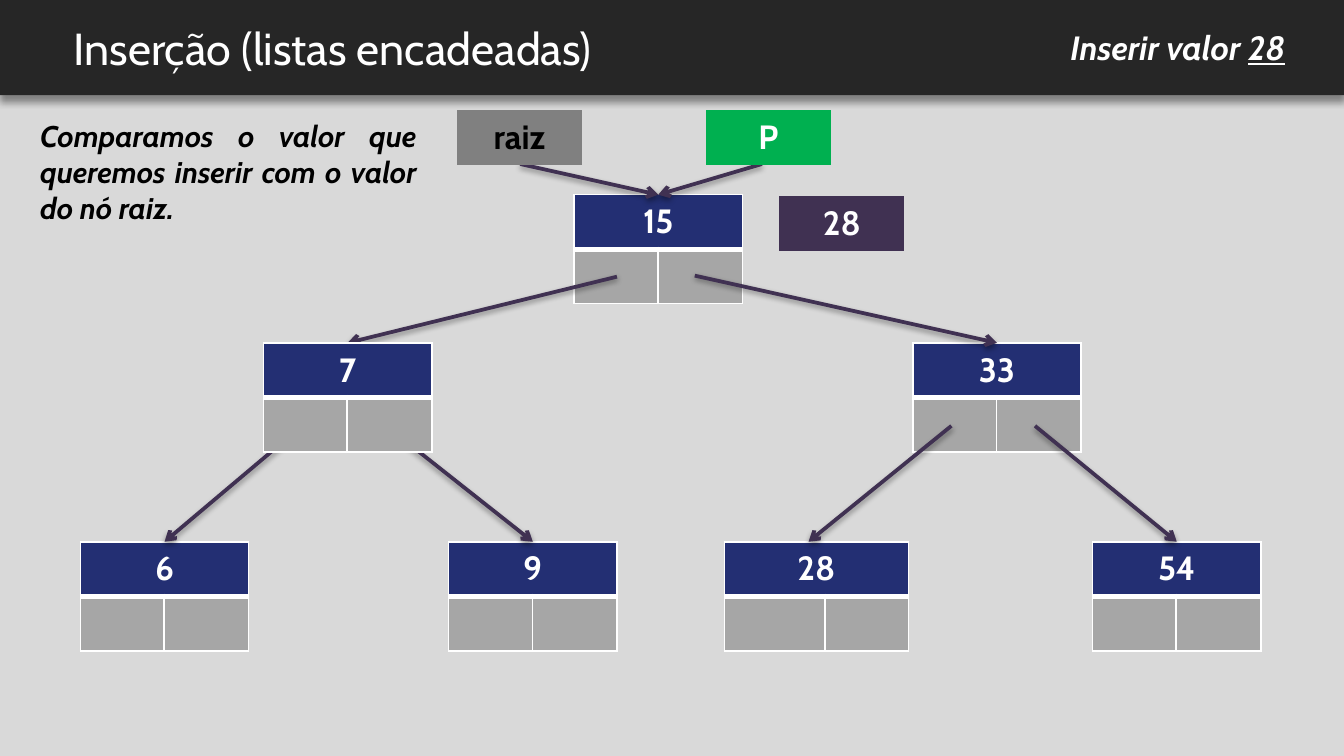
from lxml import etree
from pptx import Presentation
from pptx.dml.color import RGBColor
from pptx.enum.shapes import MSO_CONNECTOR, MSO_SHAPE
from pptx.enum.text import MSO_ANCHOR, PP_ALIGN
from pptx.oxml.ns import qn
from pptx.util import Cm, Pt

LINE = MSO_CONNECTOR.STRAIGHT
RECT = MSO_SHAPE.RECTANGLE
TOP, MID = MSO_ANCHOR.TOP, MSO_ANCHOR.MIDDLE
LEFT, RIGHT = PP_ALIGN.LEFT, PP_ALIGN.RIGHT
CENTER, JUST = PP_ALIGN.CENTER, PP_ALIGN.JUSTIFY

FONT = "Cabin"
WHITE, BLACK, NAVY, GRAY, PLUM = "FFFFFF", "000000", "232F73", "A6A6A6", "403152"
NO_STYLE = "{2D5ABB26-0587-4C30-8999-92F81FD0307C}"
ROW = 1.02                # height of a table row, cm
HALVES = (1.58, 1.6)      # pointer cells of a node, cm
MIDDLE = 1.59             # from a node's left side to its arrow tip, cm

# Tree nodes: name -> left, top (cm)
NODES = {
    "15": (10.85, 3.68),
    "7": (4.98, 6.48), "33": (17.25, 6.48),
    "6": (1.52, 10.24), "9": (8.48, 10.24),
    "28": (13.69, 10.24), "54": (20.65, 10.24),
}
# Arrows: start x, start y (cm), node they point to
LINKS = [
    (9.83, 3.1, "15"), (14.4, 3.1, "15"),
    (11.66, 5.23, "7"), (13.13, 5.21, "33"),
    (5.79, 7.98, "6"), (7.21, 7.98, "9"),
    (17.98, 8.05, "28"), (19.56, 8.05, "54"),
]


def color(text):
    return RGBColor.from_string(text)


def child(parent, tag, **attrs):
    return etree.SubElement(parent, qn(tag), {k: str(v) for k, v in attrs.items()})


def shade(shape, blur, dist, alpha):
    """Give a shape a soft shadow straight below it."""
    effects = child(shape._element.spPr, "a:effectLst")
    shadow = child(effects, "a:outerShdw", blurRad=Pt(blur), dist=Pt(dist),
                   dir=5400000, rotWithShape=0)
    tone = child(shadow, "a:srgbClr", val=BLACK)
    child(tone, "a:alpha", val=alpha * 1000)


def style(frame, size, tint, align, bold=False, italic=False):
    for para in frame.paragraphs:
        para.alignment = align
        for run in para.runs:
            font = run.font
            font.name, font.size = FONT, Pt(size)
            font.bold, font.italic = bold, italic
            font.color.rgb = color(tint)


def add_text(slide, box, text, size, tint, align, anchor=MID, pad=0.25, **look):
    frame = slide.shapes.add_textbox(*map(Cm, box)).text_frame
    frame.word_wrap = True
    frame.vertical_anchor = anchor
    frame.margin_top = frame.margin_bottom = Cm(pad)
    frame.text = text
    style(frame, size, tint, align, **look)
    return frame


def add_grid(slide, left, top, cols, rows):
    """Add a plain table with the given column widths."""
    frame = slide.shapes.add_table(rows, len(cols), Cm(left), Cm(top),
                                   Cm(sum(cols)), Cm(ROW * rows))
    grid = frame.table
    grid.first_row = grid.horz_banding = False
    grid._tbl.tblPr.find(qn("a:tableStyleId")).text = NO_STYLE
    for col, width in zip(grid.columns, cols):
        col.width = Cm(width)
    return grid


def fill_cell(cell, fill, text="", tint=WHITE):
    cell.fill.solid()
    cell.fill.fore_color.rgb = color(fill)
    if text:
        cell.text_frame.text = text
        style(cell.text_frame, 18, tint, CENTER, bold=True)


def edge_cell(cell, **widths):
    """Draw white borders; they stand before the fill in the XML."""
    props = cell._tc.get_or_add_tcPr()
    for spot, side in enumerate("LRTB"):
        edge = child(props, "a:ln" + side, w=Pt(widths.get(side, 1)))
        child(child(edge, "a:solidFill"), "a:srgbClr", val=WHITE)
        props.insert(spot, edge)


def add_node(slide, name, cols=HALVES):
    """A value above two pointer cells; a third column widens the left one."""
    grid = add_grid(slide, *NODES[name], cols, 2)
    last = len(cols) - 1
    for col in range(last + 1):
        fill_cell(grid.cell(0, col), NAVY, name if col == 0 else "")
        edge_cell(grid.cell(0, col), B=3)
        fill_cell(grid.cell(1, col), GRAY)
        edge_cell(grid.cell(1, col), T=3)
    grid.cell(0, 0).merge(grid.cell(0, last))
    if last > 1:
        grid.cell(1, 0).merge(grid.cell(1, last - 1))


def add_tag(slide, left, top, text, fill, tint=WHITE):
    grid = add_grid(slide, left, top, (2.36,), 1)
    fill_cell(grid.cell(0, 0), fill, text, tint)


def add_arrow(slide, x, y, name):
    left, top = NODES[name]
    line = slide.shapes.add_connector(LINE, Cm(x), Cm(y), Cm(left + MIDDLE), Cm(top))
    line.line.color.rgb = color(PLUM)
    line.line.width = Pt(2)
    child(line.line._get_or_add_ln(), "a:tailEnd", type="arrow")
    shade(line, 3.1, 1.6, 38)


def add_header(slide):
    bar = slide.shapes.add_shape(RECT, 0, 0, Cm(25.4), Cm(1.8))
    bar.fill.solid()
    bar.fill.fore_color.rgb = color("262626")
    bar.line.fill.background()
    shade(bar, 4, 3, 40)
    add_text(slide, (1.14, 0, 22.99, 1.8), "Inserção (listas encadeadas)", 24, WHITE, LEFT)
    task = add_text(slide, (17.91, 0.38, 6.63, 1.02), "Inserir valor ", 18, WHITE,
                    RIGHT, TOP, 0.13)
    value = task.paragraphs[0].add_run()
    value.text = "28"
    style(task, 18, WHITE, RIGHT, bold=True, italic=True)
    value.font.underline = True


def main():
    prs = Presentation()
    prs.slide_width, prs.slide_height = Cm(25.4), Cm(14.29)
    slide = prs.slides.add_slide(prs.slide_layouts[6])
    back = slide.background.fill
    back.solid()
    back.fore_color.rgb = color("D9D9D9")

    # Tree: arrows lie over the nodes, except node 7, which covers its own
    for name in ("15", "33", "6", "9", "54"):
        add_node(slide, name)
    add_node(slide, "28", (1.58, 0.32, 1.58))
    for link in LINKS:
        add_arrow(slide, *link)
    add_node(slide, "7")

    # Pointers and the new value
    add_tag(slide, 8.64, 2.08, "raiz", "808080", BLACK)
    add_tag(slide, 13.34, 2.08, "P", "00B050")
    add_tag(slide, 14.73, 3.71, "28", PLUM)

    # Header and explanation
    add_header(slide)
    add_text(slide, (0.51, 2.34, 7.62, 1.8),
             "Comparamos o valor que queremos inserir com o valor do nó raiz.",
             16, BLACK, JUST, bold=True, italic=True)
    prs.save("out.pptx")


if __name__ == "__main__":
    main()
